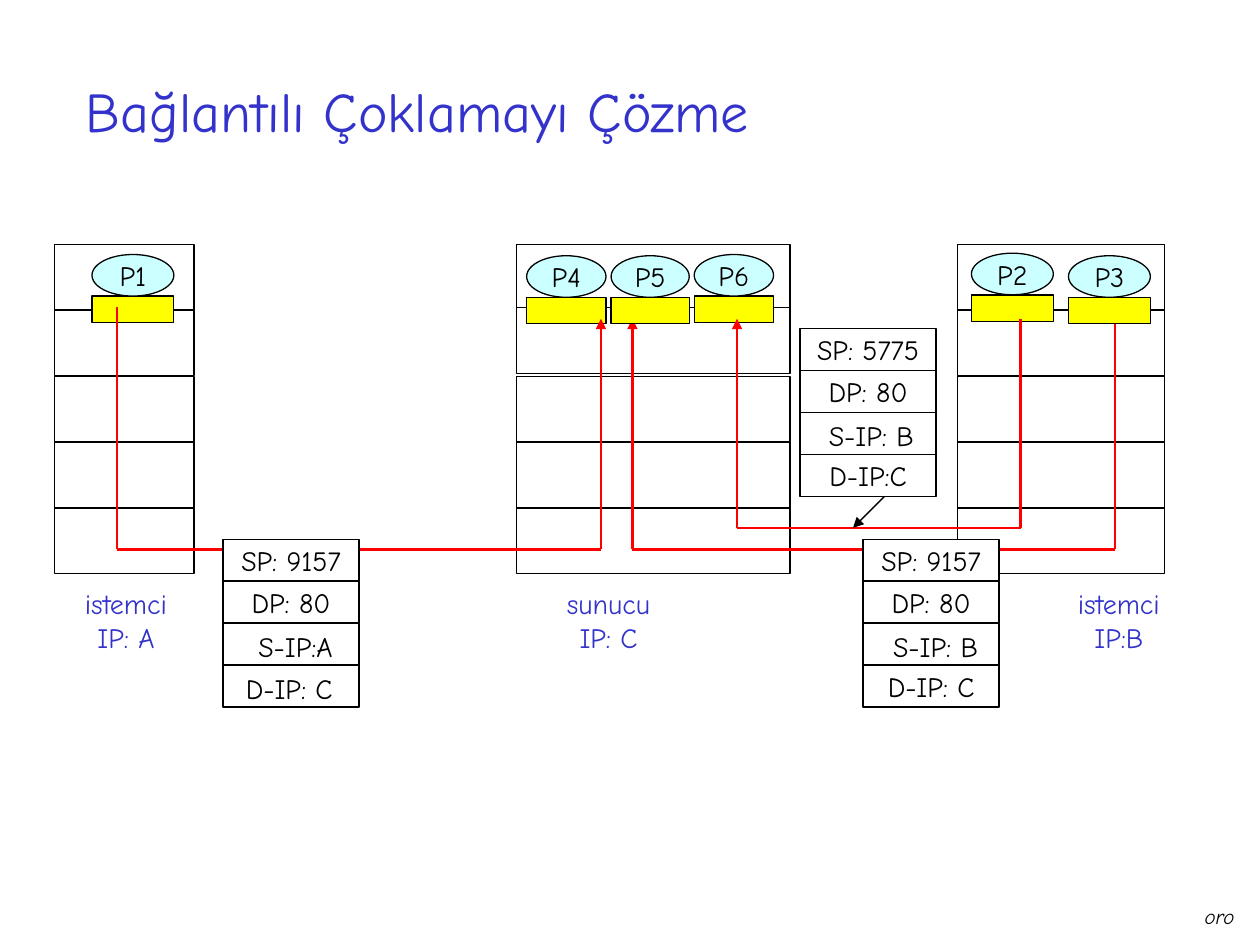
from lxml import etree
from pptx import Presentation
from pptx.dml.color import RGBColor
from pptx.enum.shapes import MSO_CONNECTOR, MSO_SHAPE
from pptx.enum.text import MSO_ANCHOR, PP_ALIGN
from pptx.oxml.ns import qn
from pptx.util import Inches, Pt

BLACK = RGBColor(0x00, 0x00, 0x00)
WHITE = RGBColor(0xFF, 0xFF, 0xFF)
BLUE = RGBColor(0x33, 0x33, 0xCC)
RED = RGBColor(0xFF, 0x00, 0x00)
YELLOW = RGBColor(0xFF, 0xFF, 0x00)
CYAN = RGBColor(0xCC, 0xFF, 0xFF)
FACE = "Comic Neue"
LAYER = 0.523
ROW = 0.333


def write(frame, text, color=BLACK, size=16, align=PP_ALIGN.CENTER, **extra):
    frame.text = text
    for part in frame.paragraphs:
        part.alignment = align
        style = {"name": FACE, "size": Pt(size), **extra}
        for key, value in style.items():
            setattr(part.font, key, value)
        part.font.color.rgb = color


def shape(slide, kind, box, fill, text=""):
    item = slide.shapes.add_shape(kind, *map(Inches, box))
    item.shadow.inherit = False
    item.fill.solid()
    item.fill.fore_color.rgb = fill
    item.line.color.rgb = BLACK
    item.line.width = Pt(0.75)
    if text:
        frame = item.text_frame
        frame.word_wrap = False
        frame.vertical_anchor = MSO_ANCHOR.MIDDLE
        write(frame, text)


def label(slide, box, text, color=BLACK, **extra):
    frame = slide.shapes.add_textbox(*map(Inches, box)).text_frame
    frame.word_wrap = False
    write(frame, text, color, **extra)


def line(slide, start, end, color=RED, width=1.5, arrow=False):
    ends = map(Inches, (*start, *end))
    item = slide.shapes.add_connector(MSO_CONNECTOR.STRAIGHT, *ends)
    item.line.color.rgb = color
    item.line.width = Pt(width)
    if arrow:
        etree.SubElement(item.line._get_or_add_ln(), qn("a:tailEnd"), type="triangle")
    etree.SubElement(item._element.spPr, qn("a:effectLst"))


def title(slide, box, text):
    head = slide.shapes.title
    places = dict(zip(("left", "top", "width", "height"), map(Inches, box)))
    for key, value in places.items():
        setattr(head, key, value)
    head.text_frame.vertical_anchor = MSO_ANCHOR.MIDDLE
    write(head.text_frame, text, BLUE, 32, PP_ALIGN.LEFT)


def host(slide, left, width, side, name, lift=0):
    for layer in range(5):
        top = 1.94 + layer * LAYER - (lift if layer == 1 else 0)
        shape(slide, MSO_SHAPE.RECTANGLE, (left, top, width, 0.52), WHITE)
    label(slide, (side, 4.61, 0.86, 0.64), name, BLUE)


def process(slide, left, top, width, name):
    shape(slide, MSO_SHAPE.RECTANGLE, (left, top + 0.33, width, 0.21), YELLOW)
    shape(slide, MSO_SHAPE.OVAL, (left, top, width, 0.33), CYAN, name)


def packet(slide, left, top, rows, loose):
    for index, text in enumerate(rows):
        y = top + index * ROW
        inside = "" if index in loose else text
        shape(slide, MSO_SHAPE.RECTANGLE, (left, y, 1.08, ROW), WHITE, inside)
    for index, (shift, width) in loose.items():
        label(slide, (left + shift, top + index * ROW, width, 0.37), rows[index])


def flow(slide, source, target, top, base):
    line(slide, (source, top), (source, base))
    line(slide, (source, base), (target, base))
    line(slide, (target, base), (target, 2.53), arrow=True)


def main():
    deck = Presentation()
    deck.slide_width, deck.slide_height = Inches(10), Inches(7.5)
    slide = deck.slides.add_slide(deck.slide_layouts[5])
    label(slide, (9.46, 7.12, 0.44, 0.3), "oro", size=12, italic=True)
    title(slide, (0.58, 0.25, 8.5, 1.25), "Bağlantılı Çoklamayı Çözme")

    host(slide, 0.43, 1.11, 0.57, "istemci\nIP: A")
    host(slide, 7.6, 1.64, 8.45, "istemci\nIP:B")
    host(slide, 4.1, 2.17, 4.4, "sunucu\nIP: C", lift=0.02)
    process(slide, 0.73, 2.02, 0.65, "P1")
    process(slide, 7.71, 2.01, 0.65, "P2")
    process(slide, 4.18, 2.03, 0.63, "P4")

    flow(slide, 0.93, 4.77, 2.44, 4.36)
    flow(slide, 8.85, 5.02, 2.44, 4.36)
    packet(slide, 1.77, 4.28, ("SP: 9157", "DP: 80", "S-IP:A", "D-IP: C"),
           {2: (0.18, 0.79), 3: (0.08, 0.89)})
    packet(slide, 6.85, 4.28, ("SP: 9157", "DP: 80", "S-IP: B", "D-IP: C"),
           {2: (0.14, 0.87)})

    process(slide, 4.85, 2.03, 0.62, "P5")
    process(slide, 5.51, 2.02, 0.63, "P6")
    process(slide, 8.48, 2.03, 0.65, "P3")
    flow(slide, 8.1, 5.85, 2.53, 4.19)
    packet(slide, 6.35, 2.61, ("SP: 5775", "DP: 80", "S-IP: B", "D-IP:C"),
           {2: (0.13, 0.87)})
    line(slide, (7.02, 3.94), (6.77, 4.19), BLACK, 0.75, True)
    deck.save("out.pptx")


if __name__ == "__main__":
    main()
